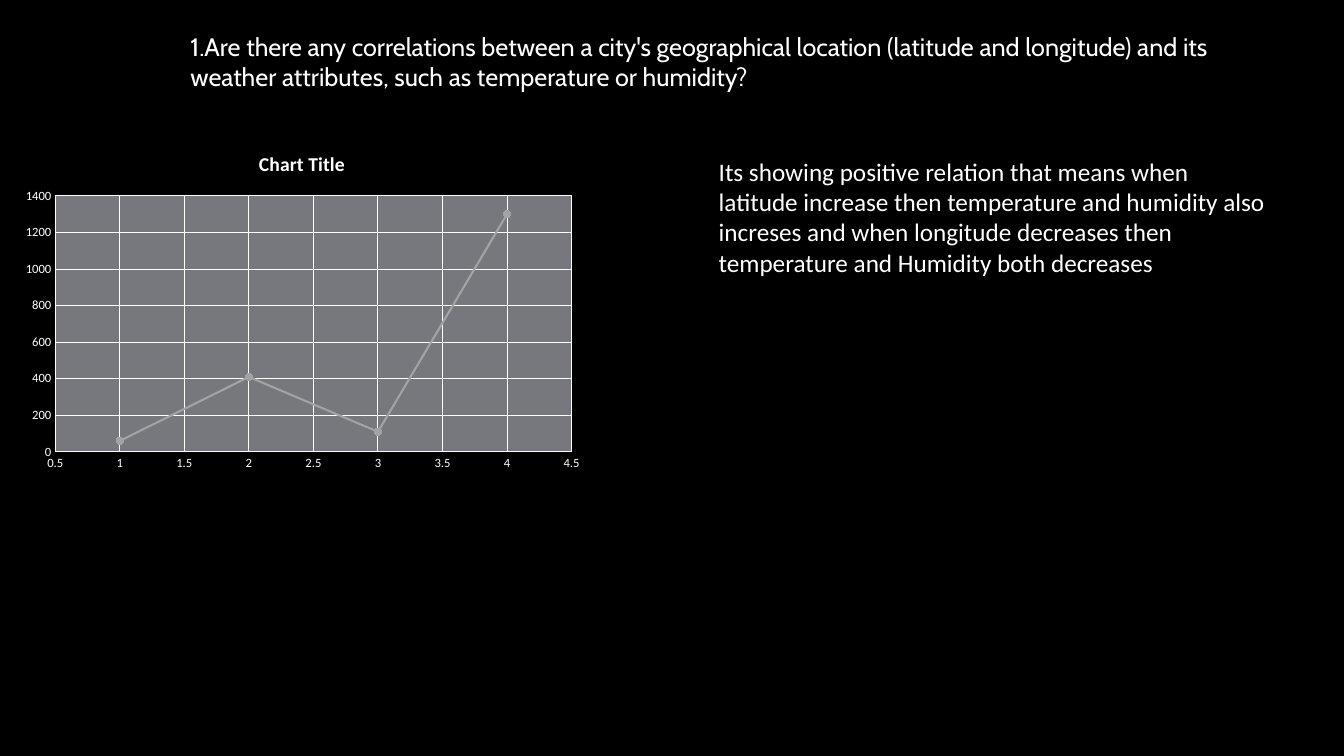
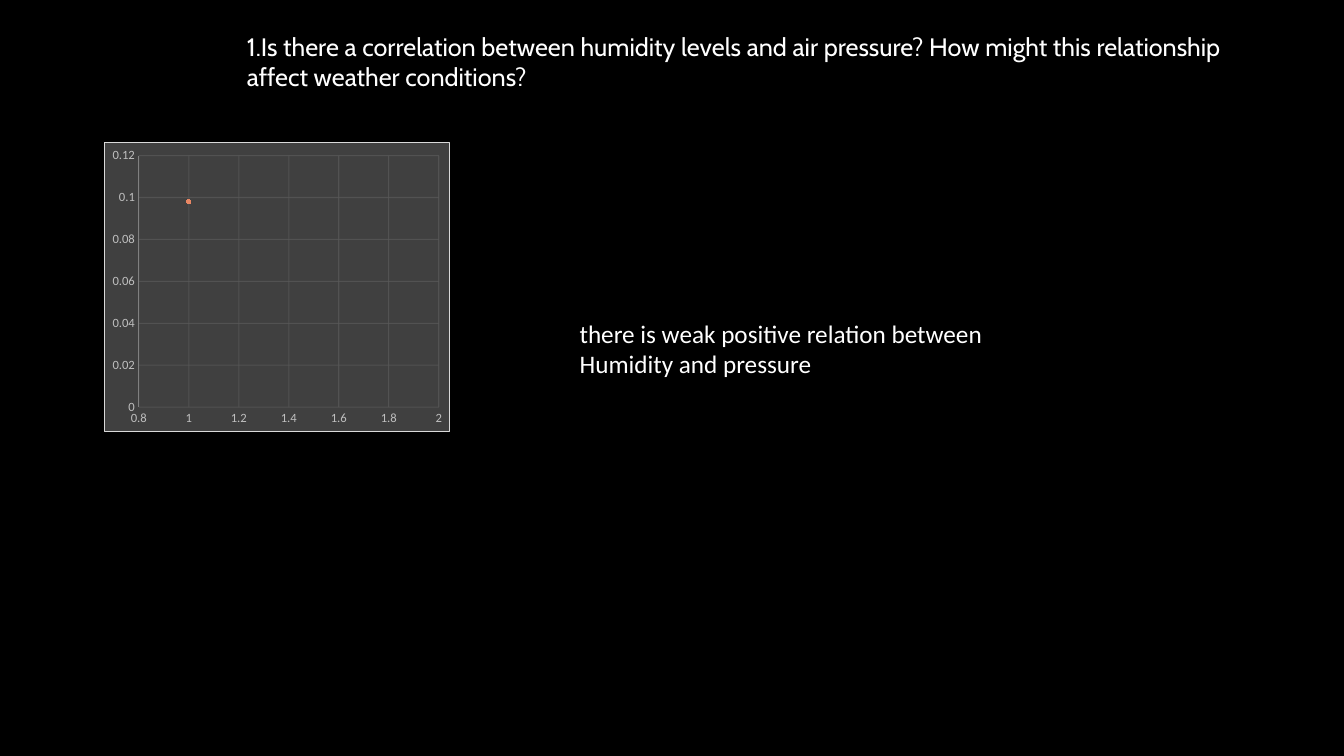
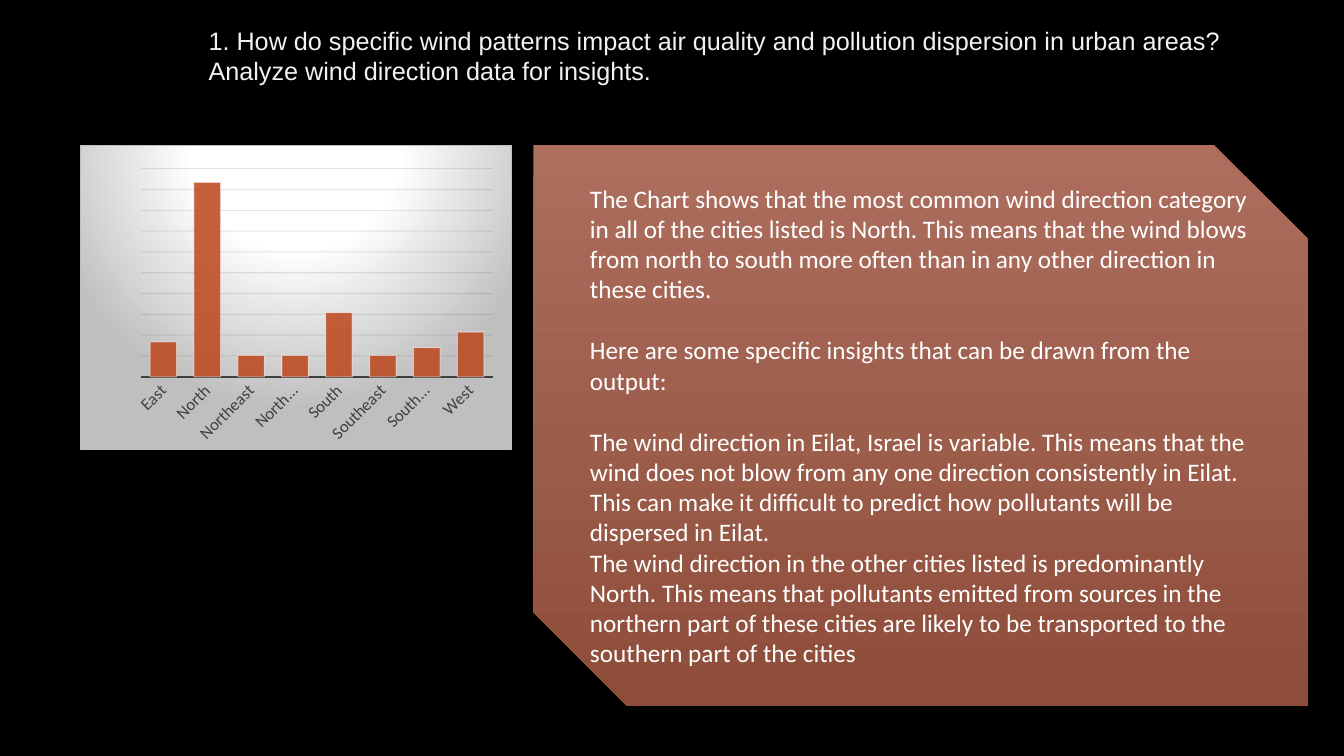
from lxml import etree
from pptx import Presentation
from pptx.chart import data
from pptx.dml.color import RGBColor
from pptx.enum import chart as ch, shapes, text
from pptx.oxml import ns, parse_xml
from pptx.util import Inches, Pt

WHITE = "FFFFFF"
BODY = "Calibri"
HEAD = "Cabin"
NS = ns.nsdecls("a", "c")


def rgb(code):
    return RGBColor.from_string(code)


def style(font, size=18, face=BODY, color=WHITE):
    font.size = Pt(size)
    font.name = face
    font.color.rgb = rgb(color)


def write(frame, words, gaps=(), number=False, **look):
    frame.word_wrap = True
    for i, line in enumerate(words.split("\n")):
        para = frame.paragraphs[0] if i == 0 else frame.add_paragraph()
        para.alignment = text.PP_ALIGN.LEFT
        if number:
            props = para._p.get_or_add_pPr()
            props.set("marL", "0")
            props.set("indent", "0")
            etree.SubElement(props, ns.qn("a:buAutoNum"), type="arabicPeriod")
        if i in gaps:
            para.space_before = Pt(22)
        run = para.add_run()
        run.text = line
        style(run.font, **look)


def label(slide, box, words, **look):
    shape = slide.shapes.add_textbox(*map(Inches, box))
    write(shape.text_frame, words, **look)


def panel(slide, box, words, colors, **look):
    shape = slide.shapes.add_shape(
        shapes.MSO_SHAPE.SNIP_2_DIAG_RECTANGLE, *map(Inches, box))
    shape.shadow.inherit = False
    shape.line.fill.background()
    shape.fill.gradient()
    shape.fill.gradient_angle = 270
    for stop, color in zip(shape.fill.gradient_stops, colors):
        stop.color.rgb = rgb(color)
    shape.text_frame.vertical_anchor = text.MSO_ANCHOR.MIDDLE
    write(shape.text_frame, words, **look)


def stroke(line, color, width=0.75):
    if color:
        line.color.rgb = rgb(color)
        line.width = Pt(width)
    else:
        line.fill.background()


def solid(color):
    return f'<a:solidFill><a:srgbClr val="{color}"/></a:solidFill>'


def radial(stops, rect):
    marks = "".join(
        f'<a:gs pos="{pos * 1000}"><a:srgbClr val="{color}"/></a:gs>'
        for pos, color in stops)
    edges = " ".join(f'{k}="{v * 1000}"' for k, v in zip("ltrb", rect))
    return (f'<a:gradFill><a:gsLst>{marks}</a:gsLst><a:path path="circle">'
            f'<a:fillToRect {edges}/></a:path></a:gradFill>')


def props(fill=None, edge=None):
    fill = fill or "<a:noFill/>"
    rim = solid(edge) if edge else "<a:noFill/>"
    return parse_xml(
        f'<c:spPr {NS}>{fill}<a:ln w="9525">{rim}</a:ln></c:spPr>')


def fade(chart, query, pct):
    for node in chart.element.xpath(query):
        etree.SubElement(node, ns.qn("a:alpha"), val=str(pct * 1000))


def place(chart, frame):
    area = chart.element.xpath("c:chart/c:plotArea")[0]
    for old in area.xpath("c:layout"):
        area.remove(old)
    spots = "".join(f'<c:{k} val="{v}"/>' for k, v in zip("xywh", frame))
    area.insert(0, parse_xml(
        f'<c:layout {NS}><c:manualLayout><c:layoutTarget val="inner"/>'
        f'<c:xMode val="edge"/><c:yMode val="edge"/>{spots}'
        '</c:manualLayout></c:layout>'))
    return area


def plot(slide, box, kind, source, frame, fill=None, edge=None, inner=None):
    chart = slide.shapes.add_chart(
        kind, *map(Inches, box), source).chart
    chart.has_legend = False
    chart.has_title = False
    style(chart.font, 10)
    chart.plots[0].vary_by_categories = False
    area = place(chart, frame)
    area.append(props(inner))
    chart.element.xpath("c:chart")[0].addnext(props(fill, edge))
    return chart


def scale(axis, low, high, step):
    axis.minimum_scale, axis.maximum_scale = low, high
    axis.major_unit = step


def dress(axis, color, line, grid=None, size=9, width=0.75):
    axis.major_tick_mark = axis.minor_tick_mark = ch.XL_TICK_MARK.NONE
    style(axis.tick_labels.font, size, color=color)
    stroke(axis.format.line, line, width)
    axis.has_major_gridlines = bool(grid)
    if grid:
        stroke(axis.major_gridlines.format.line, grid)


def points(pairs):
    source = data.XyChartData()
    series = source.add_series("Series 1")
    for x, y in pairs:
        series.add_data_point(x, y)
    return source


def dots(chart, size, color, line=None):
    series = chart.plots[0].series[0]
    series.smooth = False
    stroke(series.format.line, line, 1.5)
    mark = series.marker
    mark.style = ch.XL_MARKER_STYLE.CIRCLE
    mark.size = size
    mark.format.fill.solid()
    mark.format.fill.fore_color.rgb = rgb(color)
    stroke(mark.format.line, color)


def places(slide):
    label(slide, (1.79, 0.26, 10.6, 0.71),
          "Are there any correlations between a city's geographical location "
          "(latitude and longitude) and its weather attributes, such as "
          "temperature or humidity?", number=True, face=HEAD)
    chart = plot(slide, (0.15, 1.33, 5.69, 3.41),
                 ch.XL_CHART_TYPE.XY_SCATTER_LINES,
                 points(enumerate((60, 410, 110, 1300), 1)),
                 (0.07, 0.18, 0.9, 0.745), inner=solid("77777E"))
    chart.has_title = True
    write(chart.chart_title.text_frame, "Chart Title", size=14)
    scale(chart.category_axis, 0.5, 4.5, 0.5)
    scale(chart.value_axis, 0, 1400, 200)
    for axis in (chart.category_axis, chart.value_axis):
        dress(axis, WHITE, WHITE, WHITE)
    dots(chart, 5, "A3A3A3", "A3A3A3")
    label(slide, (7.03, 1.5, 5.69, 1.31),
          "Its showing positive relation that means when latitude increase "
          "then temperature and humidity also increses and when longitude "
          "decreases then temperature and Humidity both decreases")


def damp(slide):
    label(slide, (2.35, 0.26, 9.98, 0.71),
          "Is there a correlation between humidity levels and air pressure? "
          "How might this relationship affect weather conditions?",
          number=True, face=HEAD)
    chart = plot(slide, (1.03, 1.41, 3.43, 2.88),
                 ch.XL_CHART_TYPE.XY_SCATTER, points([(1, 0.098)]),
                 (0.1, 0.045, 0.87, 0.87), solid("404040"), "D9D9D9")
    scale(chart.category_axis, 0.8, 2, 0.2)
    scale(chart.value_axis, 0, 0.12, 0.02)
    dress(chart.category_axis, "BFBFBF", None, "595959")
    dress(chart.value_axis, "BFBFBF", "808080", "595959")
    fade(chart, ".//c:majorGridlines//a:srgbClr", 75)
    dots(chart, 3, "E98764")
    label(slide, (5.65, 3.11, 4.35, 0.71),
          "there is weak positive relation between Humidity and pressure")


def wind(slide):
    label(slide, (1.97, 0.2, 10.31, 0.71),
          "1. How do specific wind patterns impact air quality and pollution "
          "dispersion in urban areas? Analyze wind direction data for "
          "insights.", face="Arial", color="F2F2F2")
    source = data.CategoryChartData()
    source.categories = ("East", "North", "Northeast", "Northwest", "South",
                         "Southeast", "Southwest", "West")
    source.add_series("Series 1", (18, 100, 11, 11, 33, 11, 15, 23))
    chart = plot(slide, (0.79, 1.44, 4.29, 3.02),
                 ch.XL_CHART_TYPE.COLUMN_CLUSTERED, source,
                 (0.142, 0.076, 0.814, 0.686),
                 radial([(0, WHITE), (39, WHITE), (100, "BFBFBF")],
                        (50, -80, 50, 180)), "BFBFBF")
    chart.plots[0].gap_width = 65
    scale(chart.value_axis, 0, 107, 10.7)
    dress(chart.category_axis, "404040", "404040", size=12, width=1.5)
    dress(chart.value_axis, "404040", None, "0D0D0D")
    chart.value_axis.visible = False
    chart.element.xpath(".//c:catAx/c:txPr/a:bodyPr")[0].set("rot", "-2700000")
    bars = chart.plots[0].series[0]
    bars.format.fill.solid()
    bars.format.fill.fore_color.rgb = rgb("BC451B")
    stroke(bars.format.line, WHITE)
    fade(chart, ".//c:majorGridlines//a:srgbClr", 10)
    fade(chart, ".//c:ser/c:spPr/a:solidFill/a:srgbClr", 85)
    fade(chart, ".//c:ser/c:spPr/a:ln//a:srgbClr", 50)
    panel(slide, (5.29, 1.44, 7.68, 5.56),
          "The Chart shows that the most common wind direction category in "
          "all of the cities listed is North. This means that the wind blows "
          "from north to south more often than in any other direction in "
          "these cities.\n"
          "Here are some specific insights that can be drawn from the "
          "output:\n"
          "The wind direction in Eilat, Israel is variable. This means that "
          "the wind does not blow from any one direction consistently in "
          "Eilat. This can make it difficult to predict how pollutants will "
          "be dispersed in Eilat.\n"
          "The wind direction in the other cities listed is predominantly "
          "North. This means that pollutants emitted from sources in the "
          "northern part of these cities are likely to be transported to the "
          "southern part of the cities",
          ("AD6E5E", "8E4D3A"), gaps=(1, 2))


def main():
    deck = Presentation()
    deck.slide_width, deck.slide_height = Inches(13.33), Inches(7.5)
    back = deck.slide_master.background.fill
    back.solid()
    back.fore_color.rgb = rgb("000000")
    for build in (places, damp, wind):
        build(deck.slides.add_slide(deck.slide_layouts[6]))
    deck.save("out.pptx")


if __name__ == "__main__":
    main()
